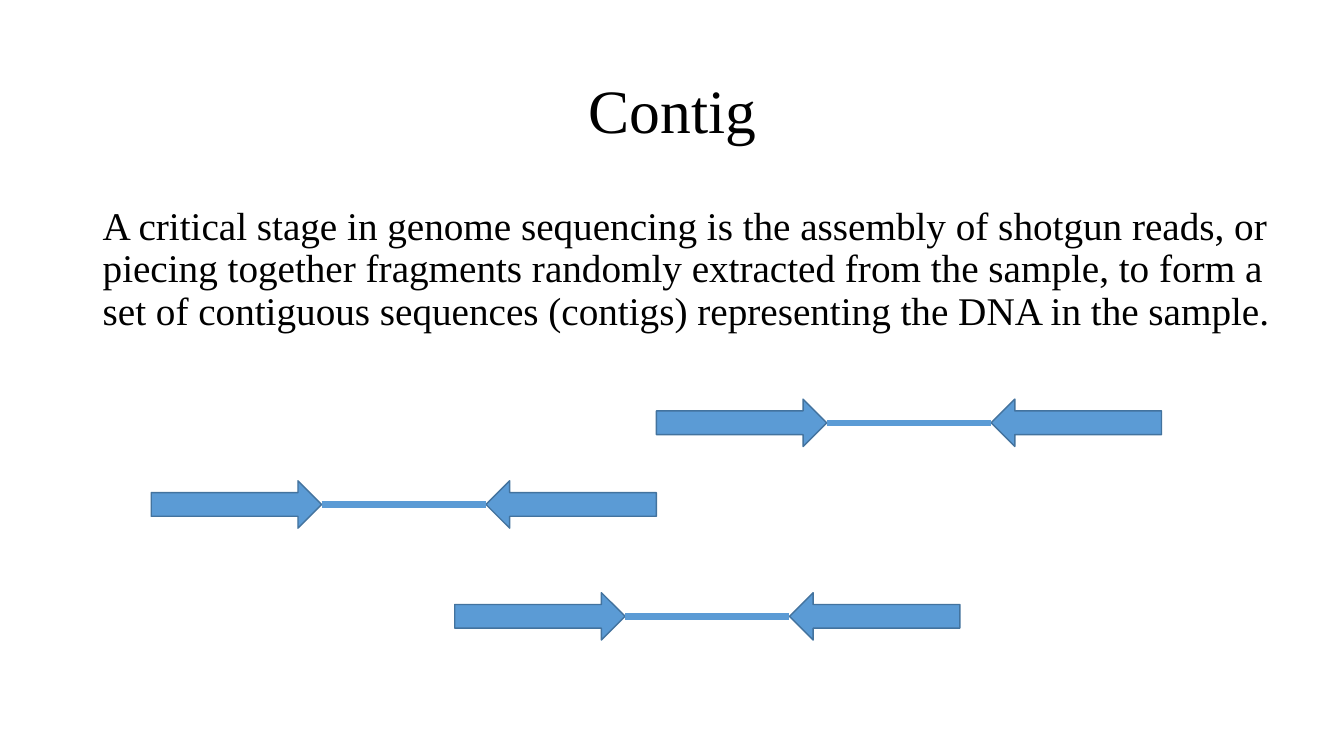
import pptx
import pptx.util
import pptx.dml.color
import pptx.enum.shapes
import pptx.enum.text
import lxml.etree
from pptx.oxml.ns import qn

Inches = pptx.util.Inches
Pt = pptx.util.Pt
RGBColor = pptx.dml.color.RGBColor
SHAPES = pptx.enum.shapes.MSO_SHAPE
ALIGN = pptx.enum.text.PP_ALIGN
ANCHOR = pptx.enum.text.MSO_ANCHOR

TITLE = "Contig"
EXPLANATION = (
    "A critical stage in genome sequencing is the assembly of shotgun reads, or "
    "piecing together fragments randomly extracted from the sample, to form a "
    "set of contiguous sequences (contigs) representing the DNA in the sample."
)
READ_PAIRS = [(1.5, 4.77), (4.51, 5.88), (6.51, 3.96)]
READ_WIDTH, READ_HEIGHT, INSERT_LENGTH = 1.69, 0.47, 1.63

FONT = "Times New Roman"
BLACK = RGBColor(0x00, 0x00, 0x00)
READ_BLUE = RGBColor(0x5B, 0x9B, 0xD5)
EDGE_BLUE = RGBColor(0x43, 0x73, 0x9E)


def add_text(slide, words, box, size, align, anchor):
    frame = slide.shapes.add_textbox(*map(Inches, box)).text_frame
    frame.word_wrap = True
    frame.vertical_anchor = anchor
    paragraph = frame.paragraphs[0]
    paragraph.alignment = align
    paragraph.line_spacing = 0.9
    run = paragraph.add_run()
    run.text = words
    run.font.name = FONT
    run.font.size = Pt(size)
    run.font.color.rgb = BLACK


def add_read(slide, arrow, left, top):
    read = slide.shapes.add_shape(
        arrow, Inches(left), Inches(top), Inches(READ_WIDTH), Inches(READ_HEIGHT)
    )
    read.shadow.inherit = False
    read.fill.solid()
    read.fill.fore_color.rgb = READ_BLUE
    read.line.color.rgb = EDGE_BLUE
    read.line.width = Pt(1)
    return read


def add_read_pair(slide, left, top):
    reverse_left = left + READ_WIDTH + INSERT_LENGTH
    forward = add_read(slide, SHAPES.RIGHT_ARROW, left, top)
    reverse = add_read(slide, SHAPES.LEFT_ARROW, reverse_left, top)
    middle = Inches(top + READ_HEIGHT / 2)
    insert = slide.shapes.add_connector(
        pptx.enum.shapes.MSO_CONNECTOR.STRAIGHT,
        Inches(left + READ_WIDTH), middle, Inches(reverse_left), middle,
    )
    insert.begin_connect(forward, 3)
    insert.end_connect(reverse, 1)
    insert.line.color.rgb = READ_BLUE
    insert.line.width = Pt(4.5)
    lxml.etree.SubElement(insert._element.spPr, qn("a:effectLst"))


def main():
    deck = pptx.Presentation()
    deck.slide_width, deck.slide_height = Inches(13.33), Inches(7.5)
    slide = deck.slides.add_slide(deck.slide_layouts[6])
    add_text(slide, TITLE, (0.92, 0.4, 11.5, 1.45), 44, ALIGN.CENTER, ANCHOR.MIDDLE)
    add_text(slide, EXPLANATION, (0.92, 2, 12.11, 5.03), 28, ALIGN.LEFT, ANCHOR.TOP)
    for left, top in READ_PAIRS:
        add_read_pair(slide, left, top)
    deck.save("out.pptx")


if __name__ == "__main__":
    main()
